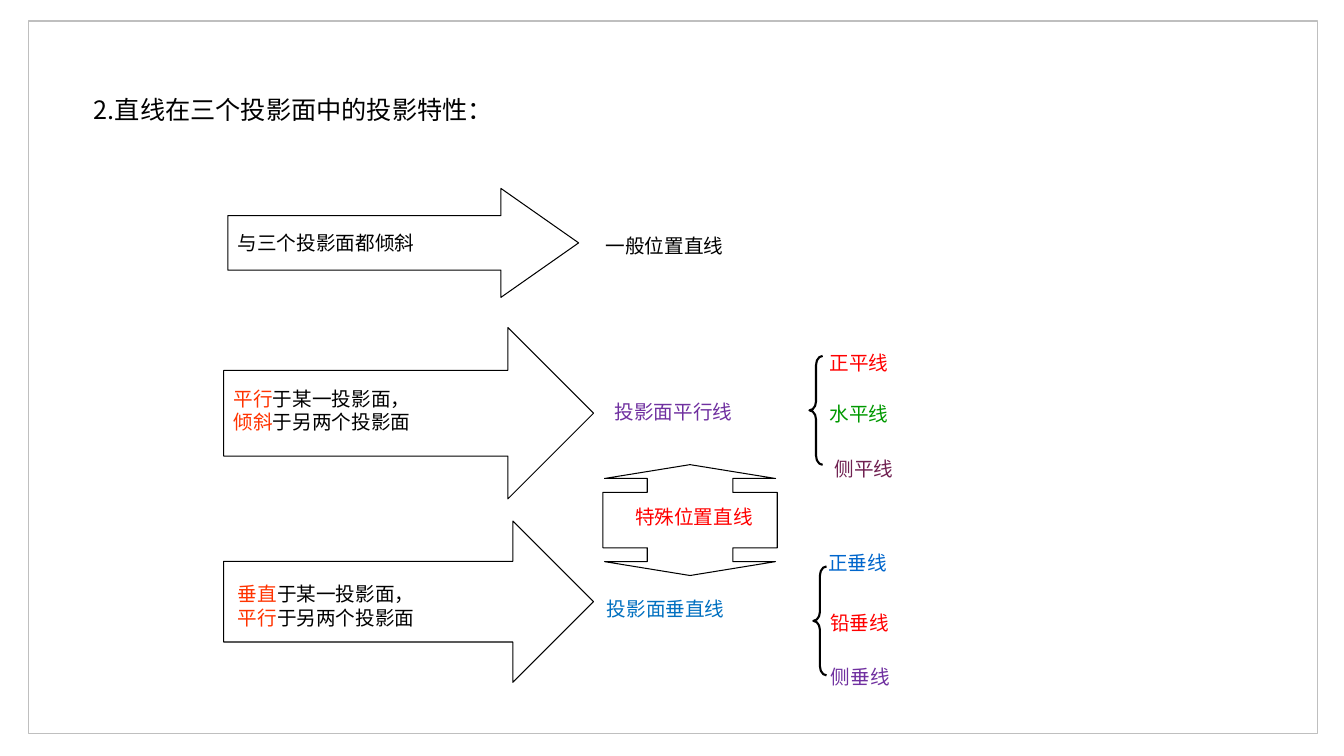
from pptx import Presentation
from pptx.dml.color import RGBColor
from pptx.enum.shapes import MSO_SHAPE
from pptx.enum.text import MSO_ANCHOR, MSO_AUTO_SIZE, PP_ALIGN
from pptx.oxml.ns import qn
from pptx.util import Pt
from lxml import etree

RECTANGLE = MSO_SHAPE.RECTANGLE
RIGHT_ARROW = MSO_SHAPE.RIGHT_ARROW
LEFT_BRACE = MSO_SHAPE.LEFT_BRACE
CALLOUT = MSO_SHAPE.UP_DOWN_ARROW_CALLOUT
MIDDLE = MSO_ANCHOR.MIDDLE
NO_AUTOSIZE = MSO_AUTO_SIZE.NONE
LEFT, CENTER = PP_ALIGN.LEFT, PP_ALIGN.CENTER

FONT = "Noto Sans CJK SC"
BLACK, RED, ORANGE, PURPLE = "000000", "FF0000", "FF3300", "7030A0"
LINE_HEIGHT = 24.5

# Left, top, width, height, head length
ARROWS = [
    (162.7, 134.6, 250.6, 77.8, 0.713),
    (159.8, 234, 264.2, 122.4, 0.5),
    (159.8, 372.2, 264.2, 115.2, 0.5),
]

# Left, top, lines of (text, colour) spans
CONDITIONS = [
    (162.7, 161.3, [[("与三个投影面都倾斜", BLACK)]]),
    (159.8, 272.2, [[("平行", ORANGE), ("于某一投影面，", BLACK)],
                    [("倾斜", ORANGE), ("于另两个投影面", BLACK)]]),
    (162.7, 411.8, [[("垂直", ORANGE), ("于某一投影面，", BLACK)],
                    [("平行", ORANGE), ("于另两个投影面", BLACK)]]),
]

# Left, top, text, colour
LABELS = [
    (425.5, 163.4, "一般位置直线", BLACK),
    (432, 281.5, "投影面平行线", PURPLE),
    (426.4, 422.6, "投影面垂直线", "0070C0"),
    (585.6, 247, "正平线", RED),
    (585.6, 283, "水平线", "009900"),
    (589, 322.6, "侧平线", "702151"),
    (584.5, 389.5, "正垂线", "0066CC"),
    (586, 432.7, "铅垂线", RED),
    (586.5, 470.9, "侧垂线", PURPLE),
]

BRACES = [(578.2, 254.2), (581, 404.6)]


def color(value):
    return RGBColor.from_string(value)


def place(shape, left, top, width, height):
    shape.left, shape.top = Pt(left), Pt(top)
    shape.width, shape.height = Pt(width), Pt(height)


def style_span(span, size, value):
    span.font.size = Pt(size)
    span.font.name = FONT
    span.font.color.rgb = color(value)
    east_asian = etree.SubElement(span.font._element, qn("a:ea"))
    east_asian.set("typeface", FONT)


def add_outline(page, kind, left, top, width, height,
                adjustments=(), line=BLACK, weight=0.75):
    shape = page.shapes.add_shape(kind, Pt(left), Pt(top), Pt(width), Pt(height))
    shape.shadow.inherit = False
    shape.fill.background()
    shape.line.color.rgb = color(line)
    shape.line.width = Pt(weight)
    for index, value in enumerate(adjustments):
        shape.adjustments[index] = value


def add_text(page, left, top, width, lines, align=LEFT):
    height = LINE_HEIGHT + 16.8 * (len(lines) - 1)
    box = page.shapes.add_textbox(Pt(left), Pt(top), Pt(width), Pt(height))
    frame = box.text_frame
    frame.word_wrap = True
    frame.vertical_anchor = MIDDLE
    for index, spans in enumerate(lines):
        para = frame.add_paragraph() if index else frame.paragraphs[0]
        para.alignment = align
        for text, value in spans:
            span = para.add_run()
            span.text = text
            style_span(span, 14, value)


def set_title(page, text):
    title = page.shapes.title
    place(title, 59.8, 64.1, 490.3, 28.8)
    frame = title.text_frame
    frame.text = text
    frame.word_wrap = True
    frame.auto_size = NO_AUTOSIZE
    frame.vertical_anchor = MIDDLE
    para = frame.paragraphs[0]
    para.alignment = LEFT
    style_span(para.runs[0], 18, BLACK)


def main():
    deck = Presentation()
    deck.slide_width, deck.slide_height = Pt(960), Pt(540)
    page = deck.slides.add_slide(deck.slide_layouts[5])

    # Frame and title
    add_outline(page, RECTANGLE, 20.2, 15.1, 920.9, 509, line="BFBFBF", weight=1)
    set_title(page, "2.直线在三个投影面中的投影特性：")

    # Conditions inside arrows
    for left, top, width, height, head in ARROWS:
        add_outline(page, RIGHT_ARROW, left, top, width, height, (0.5, head))
    for left, top, lines in CONDITIONS:
        add_text(page, left, top, 240, lines)

    # Resulting kinds of line
    for left, top, text, value in LABELS:
        add_text(page, left, top, 130, [[(text, value)]])
    for left, top in BRACES:
        add_outline(page, LEFT_BRACE, left, top, 9.4, 77.8, (0.693, 0.5), weight=1.5)

    # Link between the two special kinds
    add_outline(page, CALLOUT, 430.6, 331.9, 124.6, 79.2, (0.771, 0.771, 0.125, 0.5))
    add_text(page, 407.5, 357.1, 176.4, [[("特殊位置直线", RED)]], CENTER)

    deck.save("out.pptx")


if __name__ == "__main__":
    main()
